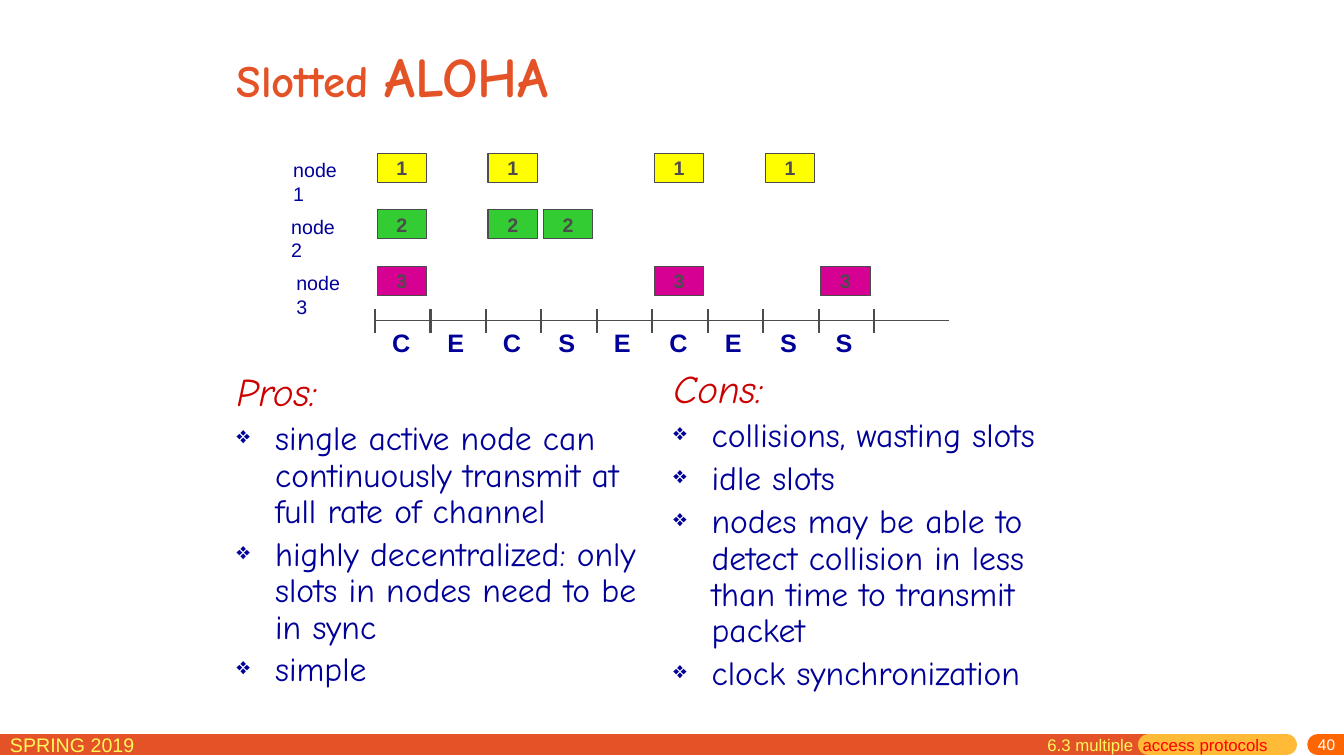
import pptx
import pptx.util
import pptx.dml.color
import pptx.enum.shapes
import pptx.enum.text
import pptx.oxml.ns
from lxml import etree

Inches = pptx.util.Inches
Pt = pptx.util.Pt
ALIGN = pptx.enum.text.PP_ALIGN
ANCHOR = pptx.enum.text.MSO_ANCHOR
NAVY, GRAY, RED, BRAND, LEMON = "000099", "4C4C4C", "CC0000", "E45327", "FFF65C"


def color(code):
    return pptx.dml.color.RGBColor.from_string(code)


def child(parent, tag, **attrs):
    return etree.SubElement(parent, pptx.oxml.ns.qn(tag), **attrs)


class Deck:
    """Draws styled elements on the current slide."""

    sans = "Arial"
    hand = "Comic Neue"

    def __init__(self):
        self.file = pptx.Presentation()
        self.file.slide_width = Inches(13.33)
        self.file.slide_height = Inches(7.5)
        self.slide = self.file.slides.add_slide(self.file.slide_layouts[6])

    def font(self, item, size, code, bold=False, italic=False, face=None):
        font = item.font
        font.name = face or self.sans
        font.size = Pt(size)
        font.bold = bold
        font.italic = italic
        font.color.rgb = color(code)

    def box(self, x, y, w, h, wrap=True, anchor=ANCHOR.TOP):
        shape = self.slide.shapes.add_textbox(Inches(x), Inches(y), Inches(w), Inches(h))
        frame = shape.text_frame
        frame.word_wrap = wrap
        frame.vertical_anchor = anchor
        return frame

    def label(self, text, x, y, w, h, size, code, bold=False, wrap=False):
        para = self.box(x, y, w, h, wrap).paragraphs[0]
        para.text = text
        self.font(para, size, code, bold)

    def runs(self, frame, parts, **style):
        for text, size, code in parts:
            run = frame.paragraphs[0].add_run()
            run.text = text
            self.font(run, size, code, **style)

    def line(self, x1, y1, x2, y2, code, width, cap="flat"):
        line = self.slide.shapes.add_connector(
            pptx.enum.shapes.MSO_CONNECTOR.STRAIGHT,
            Inches(x1), Inches(y1), Inches(x2), Inches(y2))
        line.line.color.rgb = color(code)
        line.line.width = Pt(width)
        line.line._get_or_add_ln().set("cap", cap)
        child(line._element.spPr, "a:effectLst")

    def packet(self, text, x, y, fill):
        shape = self.slide.shapes.add_shape(
            pptx.enum.shapes.MSO_SHAPE.RECTANGLE,
            Inches(x), Inches(y), Inches(0.49), Inches(0.29))
        shape.shadow.inherit = False
        shape.fill.solid()
        shape.fill.fore_color.rgb = color(fill)
        shape.line.color.rgb = color(GRAY)
        shape.line.width = Pt(0.75)
        frame = shape.text_frame
        frame.margin_top = frame.margin_bottom = 0
        frame.vertical_anchor = ANCHOR.MIDDLE
        para = frame.paragraphs[0]
        para.text = text
        para.alignment = ALIGN.CENTER
        self.font(para, 14, GRAY, bold=True)

    def points(self, head, items, x, y):
        frame = self.box(x, y, 4.17, 3.5)
        for i, text in enumerate([head] + items):
            para = frame.add_paragraph() if i else frame.paragraphs[0]
            para.text = text
            size = 24 if i else 28
            self.font(para, size, NAVY if i else RED, italic=not i, face=self.hand)
            para.line_spacing = 0.9
            para.space_before = Pt(size * 0.2)
            props = para._p.get_or_add_pPr()
            props.set("marL", str(Inches(0.38)))
            props.set("indent", str(Inches(-0.38)))
            if i:
                mark = [child(props, "a:buSzPct", val="70000"),
                        child(props, "a:buChar", char="❖")]
                rest = props.find(pptx.oxml.ns.qn("a:defRPr"))
                for part in mark:
                    rest.addprevious(part)


def main():
    deck = Deck()
    for start, end, code in [(-0.18, 11.39, BRAND), (11.39, 12.76, "FFBA37"),
                             (13.07, 13.6, "FF6600")]:
        deck.line(start, 7.39, end, 7.39, code, 15, "rnd")
    deck.label("SPRING 2019", 0, 7.22, 2.29, 0.31, 14, LEMON, wrap=True)

    page = deck.box(10.75, 7.32, 2.59, 0.18, anchor=ANCHOR.MIDDLE)
    page.margin_top = 0
    page.margin_bottom = Inches(0.05)
    page.paragraphs[0].alignment = ALIGN.RIGHT
    deck.runs(page, [("40", 11, "FFFFFF")])

    deck.points("Pros:", [
        "single active node can continuously transmit at full rate of channel",
        "highly decentralized: only slots in nodes need to be in sync",
        "simple"], 2.25, 3.65)
    deck.points("Cons:", [
        "collisions, wasting slots",
        "idle slots",
        "nodes may be able to detect collision in less than time to transmit packet",
        "clock synchronization"], 6.58, 3.62)
    title = deck.box(2.25, 0.12, 5.42, 1.25, anchor=ANCHOR.MIDDLE)
    deck.runs(title, [("Slotted ", 32, BRAND), ("ALOHA", 40, BRAND)],
              bold=True, face=deck.hand)

    left, pitch = 3.72, 0.55
    nodes = [("FFFF00", 2.81, [0, 2, 5, 7]),
             ("33CC33", 2.79, [0, 2, 3]),
             ("D60093", 2.84, [0, 5, 8])]
    for row, (fill, x, slots) in enumerate(nodes):
        y = 1.52 + 0.56 * row
        deck.label(f"node {row + 1}", x, y, 0.79, 0.33, 14, NAVY)
        for slot in slots:
            deck.packet(str(row + 1), left + 0.02 + pitch * slot, y, fill)

    states = "CECSECESS"
    deck.line(left, 3.18, 9.41, 3.18, GRAY, 0.75)
    for i in range(len(states) + 1):
        x = left + pitch * i
        deck.line(x, 3.07, x, 3.3, GRAY, 1.5)
    for i, state in enumerate(states):
        deck.label(state, left + 0.07 + pitch * i, 3.2, 0.37, 0.4, 18, NAVY, bold=True)

    topic = deck.box(10.29, 7.24, 2.44, 0.31, wrap=False)
    deck.runs(topic, [("6.3 multiple\u00a0 ", 12, LEMON), ("access protocols", 12, "FF0000")])
    deck.file.save("out.pptx")


if __name__ == "__main__":
    main()
